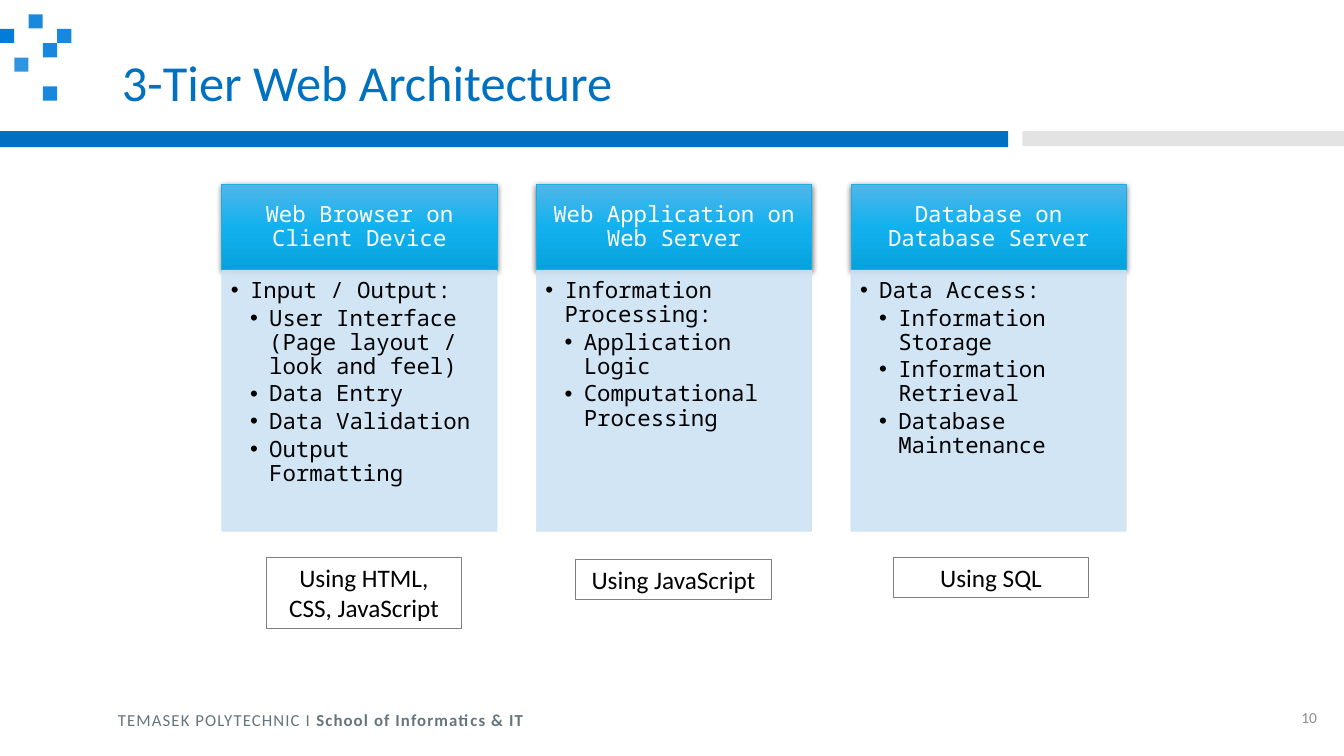
from copy import deepcopy

from lxml import etree
from pptx import Presentation
from pptx.dml.color import RGBColor
from pptx.enum.shapes import MSO_SHAPE
from pptx.enum.text import MSO_ANCHOR, MSO_AUTO_SIZE, PP_ALIGN
from pptx.oxml.ns import qn
from pptx.util import Inches, Pt

RECT = MSO_SHAPE.RECTANGLE
LEFT, CENTER, RIGHT = PP_ALIGN.LEFT, PP_ALIGN.CENTER, PP_ALIGN.RIGHT
TOP, MIDDLE = MSO_ANCHOR.TOP, MSO_ANCHOR.MIDDLE
GROW = MSO_AUTO_SIZE.SHAPE_TO_FIT_TEXT

BLUE = RGBColor(0x00, 0x70, 0xC0)
GRAY = RGBColor(0xC8, 0xC8, 0xC8)
SQUARE_BLUE = RGBColor(0x00, 0x7D, 0xDA)
HEADER_STOPS = [(0, RGBColor(0x4F, 0xB6, 0xE9)), (0.5, RGBColor(0x12, 0xB1, 0xEE)),
                (1, RGBColor(0x06, 0xA2, 0xDD))]
HEADER_LINE = RGBColor(0x1C, 0xAD, 0xE4)
PALE = RGBColor(0xCD, 0xE3, 0xF5)
LABEL_LINE = RGBColor(0x80, 0x80, 0x80)
FOOTER_GRAY = RGBColor(0x65, 0x75, 0x7D)
NUMBER_GRAY = RGBColor(0x8C, 0x8C, 0x8C)
WHITE = RGBColor(0xFF, 0xFF, 0xFF)
BLACK = RGBColor(0, 0, 0)
SANS, MONO = "Calibri", "Noto Sans Mono"

# Content
TITLE = "3-Tier Web Architecture"
FOOTER = [("TEMASEK POLYTECHNIC I ", False), ("School of Informatics & IT", True)]
PAGE = "10"
TIERS = [  # header, topic, details
    ("Web Browser on Client Device", "Input / Output:",
     ["User Interface (Page layout / look and feel)", "Data Entry",
      "Data Validation", "Output Formatting"]),
    ("Web Application on Web Server", "Information Processing:",
     ["Application Logic", "Computational Processing"]),
    ("Database on Database Server", "Data Access:",
     ["Information Storage", "Information Retrieval", "Database Maintenance"]),
]
LABELS = [  # text, left, top, height
    ("Using HTML, CSS, JavaScript", 2.64, 5.53, 0.71),
    ("Using JavaScript", 5.71, 5.55, 0.4),
    ("Using SQL", 8.86, 5.53, 0.4),
]
SQUARES = [  # column, row, opacity in percent
    (2, 1, 90), (1, 4, 81), (0, 2, 100), (4, 2, 91), (3, 3, 91), (3, 6, 91),
]

# Layout
TIER_LEFT, TIER_TOP, TIER_STEP, TIER_W = 2.2, 1.83, 3.12, 2.73
HEADER_H, BODY_H = 0.85, 2.59
INDENT = 0.19
SQUARE = 0.14

prs = Presentation()
prs.slide_width, prs.slide_height = Inches(13.33), Inches(7.5)
s = prs.slides.add_slide(prs.slide_layouts[5])


def set_alpha(color_parent, percent):
    color = color_parent.find(".//" + qn("a:srgbClr"))
    etree.SubElement(color, qn("a:alpha"), val=str(percent * 1000))


def add_rect(x, y, w, h, fill=None, opacity=100, line=None, line_w=0.5):
    sp = s.shapes.add_shape(RECT, Inches(x), Inches(y), Inches(w), Inches(h))
    sp.shadow.inherit = False
    if fill is None:
        sp.fill.background()
    else:
        sp.fill.solid()
        sp.fill.fore_color.rgb = fill
    if line is None:
        sp.line.fill.background()
    else:
        sp.line.color.rgb = line
        sp.line.width = Pt(line_w)
    if opacity < 100:
        for solid in sp._element.spPr.iter(qn("a:solidFill")):
            set_alpha(solid, opacity)
    return sp


def set_frame(sp, anchor, insets=(0.1, 0.05, 0.1, 0.05)):
    tf = sp.text_frame
    tf.word_wrap = True
    tf.vertical_anchor = anchor
    tf.margin_left, tf.margin_top, tf.margin_right, tf.margin_bottom = map(Inches, insets)
    return tf


def style(p, size, font, color, align=LEFT, spacing=None):
    p.alignment = align
    if spacing:
        p.line_spacing = spacing
    for r in p.runs:
        r.font.size, r.font.name, r.font.color.rgb = Pt(size), font, color


def add_bullet(p, level):
    pPr = p._p.get_or_add_pPr()
    pPr.set("marL", str(Inches(INDENT * level)))
    pPr.set("indent", str(-Inches(INDENT)))
    etree.SubElement(pPr, qn("a:buFont"), typeface="Arial")
    etree.SubElement(pPr, qn("a:buChar"), char="•")


def style_header(sp):
    sp.fill.gradient()
    sp.fill.gradient_angle = 270
    stops = sp._element.spPr.find(".//" + qn("a:gsLst"))
    stops.append(deepcopy(stops[0]))
    for stop, (position, color) in zip(sp.fill.gradient_stops, HEADER_STOPS):
        stop.position, stop.color.rgb = position, color
    effects = sp._element.spPr.find(qn("a:effectLst"))
    shadow = etree.SubElement(effects, qn("a:outerShdw"), blurRad=str(Pt(4.5)),
                              dist=str(Pt(1.5)), dir="5400000", algn="ctr", rotWithShape="0")
    etree.SubElement(shadow, qn("a:srgbClr"), val="000000")
    set_alpha(shadow, 63)


# Bars and corner squares
add_rect(0, 1.3, 10, 0.16, BLUE)
add_rect(10.14, 1.3, 3.2, 0.15, GRAY, 50)
for col, row, opacity in SQUARES:
    add_rect(col * 0.142, row * 0.143, SQUARE, SQUARE, SQUARE_BLUE, opacity)

# Title
title = s.shapes.title
title.left, title.top, title.width, title.height = map(Inches, (1.11, 0.4, 11.3, 0.9))
tf = set_frame(title, MIDDLE)
tf.text = TITLE
style(tf.paragraphs[0], 36, SANS, BLUE, spacing=0.9)

# Tiers
for i, (header, topic, details) in enumerate(TIERS):
    x = TIER_LEFT + i * TIER_STEP
    sp = add_rect(x, TIER_TOP, TIER_W, HEADER_H, line=HEADER_LINE)
    style_header(sp)
    tf = set_frame(sp, MIDDLE, (0.12, 0.07, 0.12, 0.07))
    tf.text = header
    style(tf.paragraphs[0], 16, MONO, WHITE, CENTER, 0.9)

    body = add_rect(x, TIER_TOP + HEADER_H, TIER_W, BODY_H, PALE, 90, PALE)
    tf = set_frame(body, TOP, (0.09, 0.09, 0.12, 0.14))
    tf.text = "\n".join([topic] + details)
    for n, p in enumerate(tf.paragraphs):
        p.level = 1 if n == 0 else 2
        add_bullet(p, p.level)
        style(p, 16, MONO, BLACK, spacing=0.9)
        p.space_after = Pt(2.4)

# Technology labels
for text, x, y, h in LABELS:
    tf = set_frame(add_rect(x, y, 1.94, h, line=LABEL_LINE, line_w=0.75), TOP)
    tf.auto_size = GROW
    tf.text = text
    style(tf.paragraphs[0], 18, SANS, BLACK, CENTER)

# Footer and page number
footer = s.shapes.add_textbox(Inches(1.07), Inches(6.99), Inches(11.58), Inches(0.3))
p = set_frame(footer, TOP).paragraphs[0]
for text, bold in FOOTER:
    r = p.add_run()
    r.text, r.font.bold = text, bold
    r._r.get_or_add_rPr().set("spc", "80")
style(p, 12, SANS, FOOTER_GRAY)

number = s.shapes.add_textbox(Inches(12.65), Inches(6.95), Inches(0.51), Inches(0.34))
tf = set_frame(number, MIDDLE)
tf.text = PAGE
style(tf.paragraphs[0], 11, SANS, NUMBER_GRAY, RIGHT)

prs.save("out.pptx")
